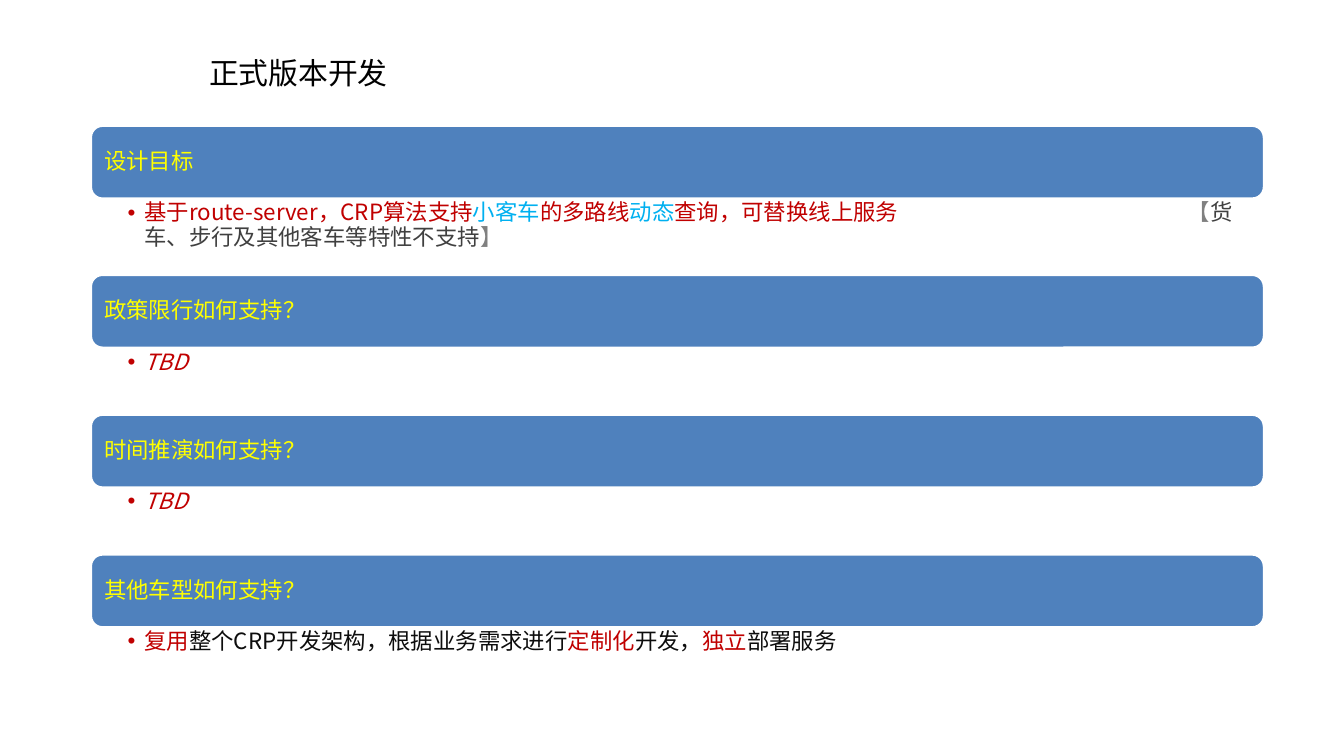
from lxml.etree import SubElement
from pptx import Presentation
from pptx.dml.color import RGBColor
from pptx.enum.shapes import MSO_SHAPE as Shape
from pptx.enum.text import MSO_ANCHOR as Anchor, PP_ALIGN as Align
from pptx.oxml.ns import qn
from pptx.util import Pt

FONT = "Noto Sans CJK SC"
BLACK = RGBColor(0x00, 0x00, 0x00)
WHITE = RGBColor(0xFF, 0xFF, 0xFF)
BLUE = RGBColor(0x4F, 0x81, 0xBD)
YELLOW = RGBColor(0xFF, 0xFF, 0x00)
RED = RGBColor(0xC0, 0x00, 0x00)
CYAN = RGBColor(0x00, 0xB0, 0xF0)
GRAY = RGBColor(0x80, 0x80, 0x80)
DARK_GRAY = RGBColor(0x40, 0x40, 0x40)
INK = RGBColor(0x0D, 0x0D, 0x0D)

LEFT, TOP, WIDTH = 48.3, 67, 629.2
HEADING_HEIGHT = 39.8

TBD = [("TBD", RED)]
SECTIONS = [
    ("设计目标", 40.1, False, [
        ("基于route-server，CRP算法支持", RED),
        ("小客车", CYAN),
        ("的多路线", RED),
        ("动态", CYAN),
        ("查询，可替换线上服务\t", RED),
        ("【", GRAY),
        ("货车、步行及其他客车等特性不支持", DARK_GRAY),
        ("】", GRAY),
    ]),
    ("政策限行如何支持？", 35.1, True, TBD),
    ("时间推演如何支持？", 35.1, True, TBD),
    ("其他车型如何支持？", 35.1, False, [
        ("复用", RED),
        ("整个CRP开发架构，根据业务需求进行", INK),
        ("定制化", RED),
        ("开发，", INK),
        ("独立", RED),
        ("部署服务", INK),
    ]),
]


def add_run(paragraph, text, color, size=12, italic=False):
    run = paragraph.add_run()
    run.text = text
    run.font.name = FONT
    run.font.size = Pt(size)
    run.font.color.rgb = color
    if italic:
        run.font.italic = True
    SubElement(run.font._element, qn("a:ea"), typeface=FONT)


def set_frame(frame, anchor, left, top, right, bottom):
    frame.word_wrap = True
    frame.vertical_anchor = anchor
    frame.margin_left, frame.margin_top = Pt(left), Pt(top)
    frame.margin_right, frame.margin_bottom = Pt(right), Pt(bottom)
    return frame.paragraphs[0]


def add_title(slide, left, top, width, height):
    title = slide.shapes.add_textbox(Pt(left), Pt(top), Pt(width), Pt(height))
    line = set_frame(title.text_frame, Anchor.MIDDLE, 7.2, 3.6, 7.2, 3.6)
    add_run(line, "正式版本开发", BLACK, 16)


def add_heading(slide, text, left, top, width, height):
    heading = slide.shapes.add_shape(
        Shape.ROUNDED_RECTANGLE, Pt(left), Pt(top), Pt(width), Pt(height))
    heading.shadow.inherit = False
    heading.fill.solid()
    heading.fill.fore_color.rgb = BLUE
    heading.line.color.rgb = WHITE
    heading.line.width = Pt(2)
    line = set_frame(heading.text_frame, Anchor.MIDDLE, 5.5, 3.6, 5.5, 3.6)
    line.alignment = Align.LEFT
    line.line_spacing = 0.9
    add_run(line, text, YELLOW)


def add_answer(slide, parts, italic, left, top, width, height):
    answer = slide.shapes.add_textbox(Pt(left), Pt(top), Pt(width), Pt(height))
    line = set_frame(answer.text_frame, Anchor.TOP, 20, 1.2, 6.5, 1.2)
    line.level = 1
    line.line_spacing = 0.9
    props = line._p.get_or_add_pPr()
    props.set("marL", str(Pt(9)))
    props.set("indent", str(Pt(-9)))
    SubElement(props, qn("a:buFont"), typeface="Arial")
    SubElement(props, qn("a:buChar"), char="•")
    if any("\t" in text for text, _ in parts):
        stops = SubElement(props, qn("a:tabLst"))
        SubElement(stops, qn("a:tab"), pos=str(Pt(568)), algn="l")
    for text, color in parts:
        add_run(line, text, color, italic=italic)


def add_sections(slide, left, top, width):
    for heading, answer_height, italic, parts in SECTIONS:
        add_heading(slide, heading, left, top, width, HEADING_HEIGHT)
        top += HEADING_HEIGHT
        add_answer(slide, parts, italic, left, top, width, answer_height)
        top += answer_height


deck = Presentation()
deck.slide_width, deck.slide_height = Pt(720), Pt(405)
slide = deck.slides.add_slide(deck.slide_layouts[6])
add_title(slide, 105, 16.6, 578, 44.6)
add_sections(slide, LEFT, TOP, WIDTH)
deck.save("out.pptx")
